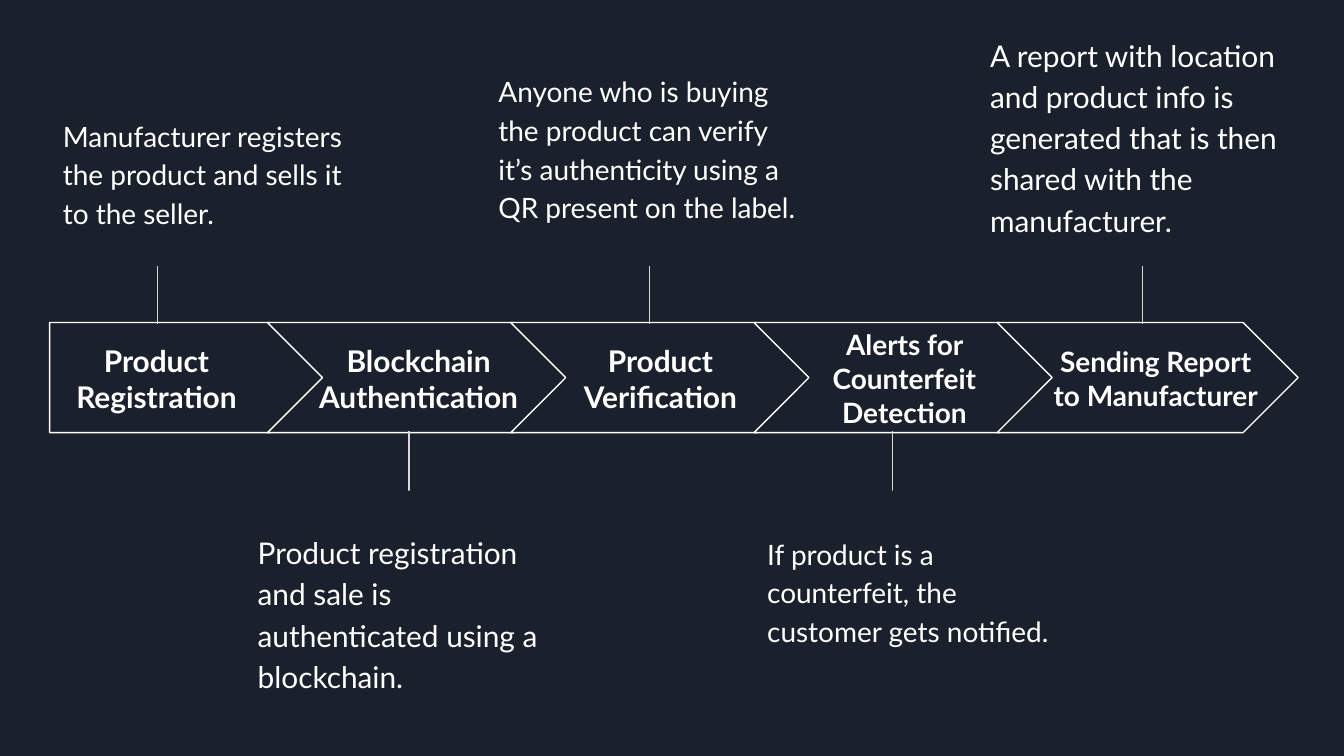
import pptx
import pptx.dml.color
import pptx.enum.shapes
import pptx.enum.text
import pptx.oxml
import pptx.util

Pt = pptx.util.Pt
SHAPE = pptx.enum.shapes.MSO_SHAPE
ALIGN = pptx.enum.text.PP_ALIGN
ANCHOR = pptx.enum.text.MSO_ANCHOR
NAVY = pptx.dml.color.RGBColor(0x1B, 0x21, 0x2C)
WHITE = pptx.dml.color.RGBColor(0xFF, 0xFF, 0xFF)
GREY = pptx.dml.color.RGBColor(0xD9, 0xD9, 0xD9)

ARROW_TOP, ARROW_HEIGHT = 172.8, 59
ARROW_LEFT, ARROW_STEP = 143.3, 130.3
DOT = 15.8

# Title, size, left, width; marker x; description, size, left, top, height
STEPS = [
    ("Product Registration", 16, 26.6, 114.5, 84.3,
     "Manufacturer registers the product and sells it to the seller.",
     15, 26.6, 54, 49.7),
    ("Blockchain Authentication", 16, 161.3, 126, 219.2,
     "Product registration and sale is authenticated using a blockchain.",
     16, 131, 276.5, 71.3),
    ("Product Verification", 16, 296.6, 114.5, 347.8,
     "Anyone who is buying the product can verify it’s authenticity using a "
     "QR present on the label.",
     15, 259.9, 30.2, 71.3),
    ("Alerts for Counterfeit Detection", 15, 432.7, 103.7, 478.1,
     "If product is a counterfeit, the customer gets notified.",
     15, 403.9, 277.9, 71.3),
    ("Sending Report to Manufacturer", 15, 553.7, 131, 612,
     "A report with location and product info is generated that is then "
     "shared with the manufacturer.",
     16, 523.4, 10.1, 96.5),
]


def add_shape(shapes, kind, left, top, width, height):
    shape = shapes.add_shape(kind, Pt(left), Pt(top), Pt(width), Pt(height))
    shape.shadow.inherit = False
    shape.fill.solid()
    shape.fill.fore_color.rgb = NAVY
    return shape


def add_text(text, size, left, top, width, height):
    box = slide.shapes.add_textbox(Pt(left), Pt(top), Pt(width), Pt(height))
    frame = box.text_frame
    frame.word_wrap = True
    frame.margin_left = frame.margin_right = Pt(7.2)
    frame.margin_top = frame.margin_bottom = Pt(7.2)
    frame.text = text
    font = frame.paragraphs[0].runs[0].font
    font.name = "Lato"
    font.size = Pt(size)
    font.color.rgb = WHITE
    return frame


presentation = pptx.Presentation()
presentation.slide_width = Pt(720)
presentation.slide_height = Pt(405)
slide = presentation.slides.add_slide(presentation.slide_layouts[6])
slide.background.fill.solid()
slide.background.fill.fore_color.rgb = NAVY

for index, (title, title_size, title_left, title_width, marker_x,
            description, size, left, top, height) in enumerate(STEPS):
    # Process arrow
    if index == 0:
        arrow = add_shape(slide.shapes, SHAPE.PENTAGON,
                          26.6, ARROW_TOP, 147.6, ARROW_HEIGHT)
    else:
        arrow = add_shape(slide.shapes, SHAPE.CHEVRON,
                          ARROW_LEFT + (index - 1) * ARROW_STEP, ARROW_TOP,
                          161.3, ARROW_HEIGHT)
    arrow.adjustments[0] = 0.5
    arrow.line.color.rgb = WHITE
    arrow.line.width = Pt(0.75)

    # Step title
    frame = add_text(title, title_size, title_left, 184.3, title_width, 36.7)
    frame.vertical_anchor = ANCHOR.MIDDLE
    frame.paragraphs[0].alignment = ALIGN.CENTER
    frame.paragraphs[0].runs[0].font.bold = True

    # Marker: above the arrow for odd steps, below it for even ones
    if index % 2 == 0:
        start, end, dot_top = 129.6, 173.5, 126.7
    else:
        start, end, dot_top = 275, 231.1, 262.8
    marker = slide.shapes.add_group_shape()
    line = marker.shapes.add_connector(
        pptx.enum.shapes.MSO_CONNECTOR.STRAIGHT,
        Pt(marker_x), Pt(start), Pt(marker_x), Pt(end))
    line.line.color.rgb = GREY
    line.line.width = Pt(0.75)
    properties = line._element.spPr
    properties.append(pptx.oxml.parse_xml(
        '<a:effectLst xmlns:a='
        '"http://schemas.openxmlformats.org/drawingml/2006/main"/>'))
    dot = add_shape(marker.shapes, SHAPE.OVAL,
                    marker_x - DOT / 2, dot_top, DOT, DOT)
    dot.line.fill.background()

    # Description
    frame = add_text(description, size, left, top, 176.4, height)
    frame.paragraphs[0].line_spacing = 1.15

presentation.save("out.pptx")
